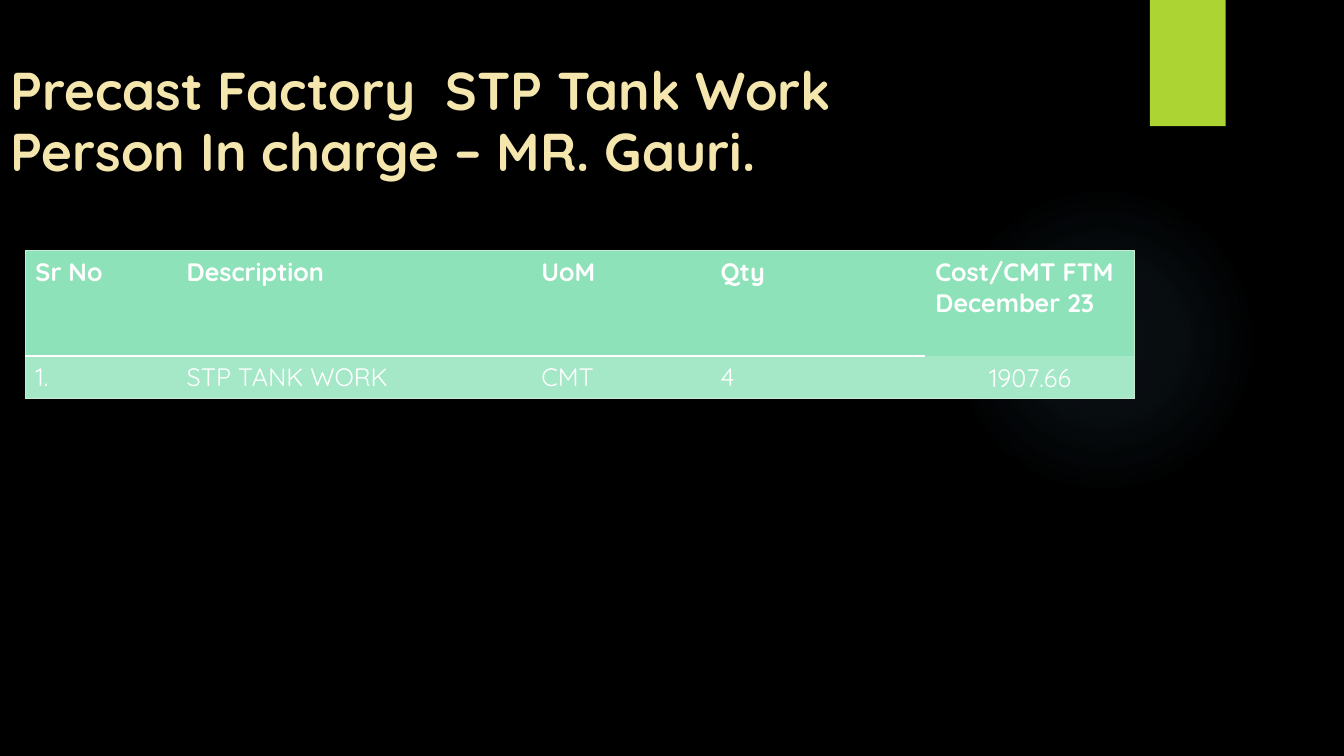
from dataclasses import dataclass

from lxml.etree import SubElement
from pptx import Presentation
from pptx.dml.color import RGBColor
from pptx.enum.shapes import MSO_SHAPE
from pptx.enum.text import MSO_ANCHOR, MSO_AUTO_SIZE, PP_ALIGN
from pptx.oxml import parse_xml
from pptx.oxml.ns import nsdecls, qn
from pptx.slide import Slide
from pptx.table import _Cell
from pptx.text.text import _Paragraph
from pptx.util import Cm, Pt


@dataclass(frozen=True)
class Theme:
    font: str = "Quicksand"
    back: str = "000000"
    glow: str = "7AC4F0"
    tab: str = "ACD433"
    title: str = "F5E6AD"
    text: str = "FFFFFF"
    head: str = "8EE2BA"
    body: str = "A5E8C8"
    edge: str = "C6ECD6"
    big: float = 38
    small: float = 18


@dataclass(frozen=True)
class Column:
    width: float
    head: str
    value: str


THEME = Theme()
PLAIN = "{2D5ABB26-0587-4C30-8999-92F81FD0307C}"
TITLE = ("Precast Factory  STP Tank Work", "Person In charge – MR. Gauri.")
COLUMNS = (
    Column(3.81, "Sr No", "1."),
    Column(8.94, "Description", "STP TANK WORK"),
    Column(4.52, "UoM", "CMT"),
    Column(5.41, "Qty", "4"),
    Column(5.28, "Cost/CMT FTM December 23", "1907.66"),
)
HEIGHTS = (2.65, 1.07)


def add_run(para: _Paragraph, text: str, size: float, color: str, bold: bool) -> None:
    run = para.add_run()
    run.text = text
    font = run.font
    font.name, font.size, font.bold = THEME.font, Pt(size), bold
    font.color.rgb = RGBColor.from_string(color)


def add_glow(slide: Slide) -> None:
    glow = slide.shapes.add_shape(MSO_SHAPE.OVAL, Cm(23.9), Cm(4.65), Cm(7.82), Cm(7.82))
    glow.shadow.inherit = False
    glow.line.fill.background()
    glow.fill.background()
    stops = "".join(
        f'<a:gs pos="{pos * 1000}"><a:srgbClr val="{THEME.glow}">'
        f'<a:alpha val="{alpha * 1000}"/></a:srgbClr></a:gs>'
        for pos, alpha in ((0, 7), (36, 6), (69, 0), (100, 0))
    )
    grad = parse_xml(
        f'<a:gradFill {nsdecls("a")}><a:gsLst>{stops}</a:gsLst><a:path path="circle">'
        '<a:fillToRect l="50000" t="50000" r="50000" b="50000"/></a:path></a:gradFill>'
    )
    props = glow.element.spPr
    props.replace(props.find(qn("a:noFill")), grad)


def add_tab(slide: Slide) -> None:
    tab = slide.shapes.add_shape(MSO_SHAPE.RECTANGLE, Cm(28.98), 0, Cm(1.91), Cm(3.18))
    tab.shadow.inherit = False
    tab.line.fill.background()
    tab.fill.solid()
    tab.fill.fore_color.rgb = RGBColor.from_string(THEME.tab)


def set_title(slide: Slide) -> None:
    title = slide.shapes.title
    title.left, title.top, title.width, title.height = Cm(0), Cm(0.25), Cm(27.05), Cm(4.52)
    frame = title.text_frame
    frame.word_wrap = True
    frame.auto_size = MSO_AUTO_SIZE.NONE
    frame.vertical_anchor = MSO_ANCHOR.BOTTOM
    para = frame.paragraphs[0]
    para.alignment = PP_ALIGN.LEFT
    para.line_spacing = 0.96
    for num, line in enumerate(TITLE):
        if num:
            para.add_line_break()
        add_run(para, line, THEME.big, THEME.title, True)


def set_edge(cell: _Cell, side: str, color: str, width: float) -> None:
    props = cell._tc.get_or_add_tcPr()
    line = SubElement(props, qn(f"a:ln{side}"), w=str(Pt(width)))
    fill = SubElement(line, qn("a:solidFill"))
    SubElement(fill, qn("a:srgbClr"), val=color)


def fill_cell(cell: _Cell, text: str, head: bool, first: bool, last: bool) -> None:
    sides = (("L", first), ("R", last), ("T", head), ("B", not head))
    for side, shown in sides:
        if shown:
            set_edge(cell, side, THEME.edge, 0.75)
    if head and not last:
        set_edge(cell, "B", THEME.text, 2.25)
    cell.fill.solid()
    cell.fill.fore_color.rgb = RGBColor.from_string(THEME.head if head else THEME.body)
    para = cell.text_frame.paragraphs[0]
    add_run(para, text, THEME.small, THEME.text, head)
    if last and not head:
        para.alignment = PP_ALIGN.CENTER
        cell.vertical_anchor = MSO_ANCHOR.MIDDLE
        cell.margin_left = cell.margin_right = cell.margin_top = Cm(0.02)
        cell.margin_bottom = 0


def add_costs(slide: Slide) -> None:
    width = sum(col.width for col in COLUMNS)
    frame = slide.shapes.add_table(
        len(HEIGHTS), len(COLUMNS), Cm(0.64), Cm(6.32), Cm(width), Cm(sum(HEIGHTS))
    )
    table = frame.table
    table.horz_banding = False
    table._tbl.tblPr.find(qn("a:tableStyleId")).text = PLAIN
    for row, height in zip(table.rows, HEIGHTS):
        row.height = Cm(height)
    end = len(COLUMNS) - 1
    for num, col in enumerate(COLUMNS):
        table.columns[num].width = Cm(col.width)
        for row, text in enumerate((col.head, col.value)):
            fill_cell(table.cell(row, num), text, row == 0, num == 0, num == end)


def main() -> None:
    deck = Presentation()
    deck.slide_width, deck.slide_height = Cm(33.87), Cm(19.05)
    slide = deck.slides.add_slide(deck.slide_layouts[5])
    back = slide.background.fill
    back.solid()
    back.fore_color.rgb = RGBColor.from_string(THEME.back)
    add_glow(slide)
    add_tab(slide)
    set_title(slide)
    add_costs(slide)
    deck.save("out.pptx")


if __name__ == "__main__":
    main()
